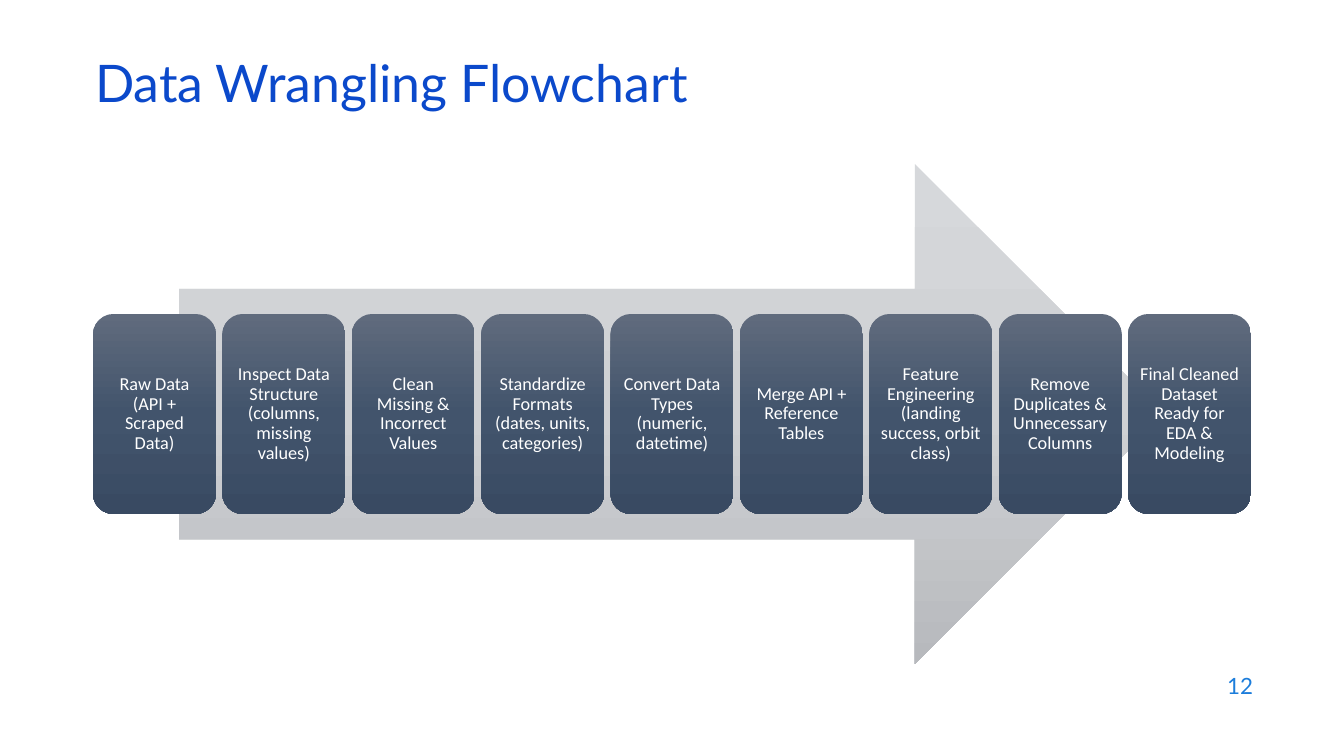
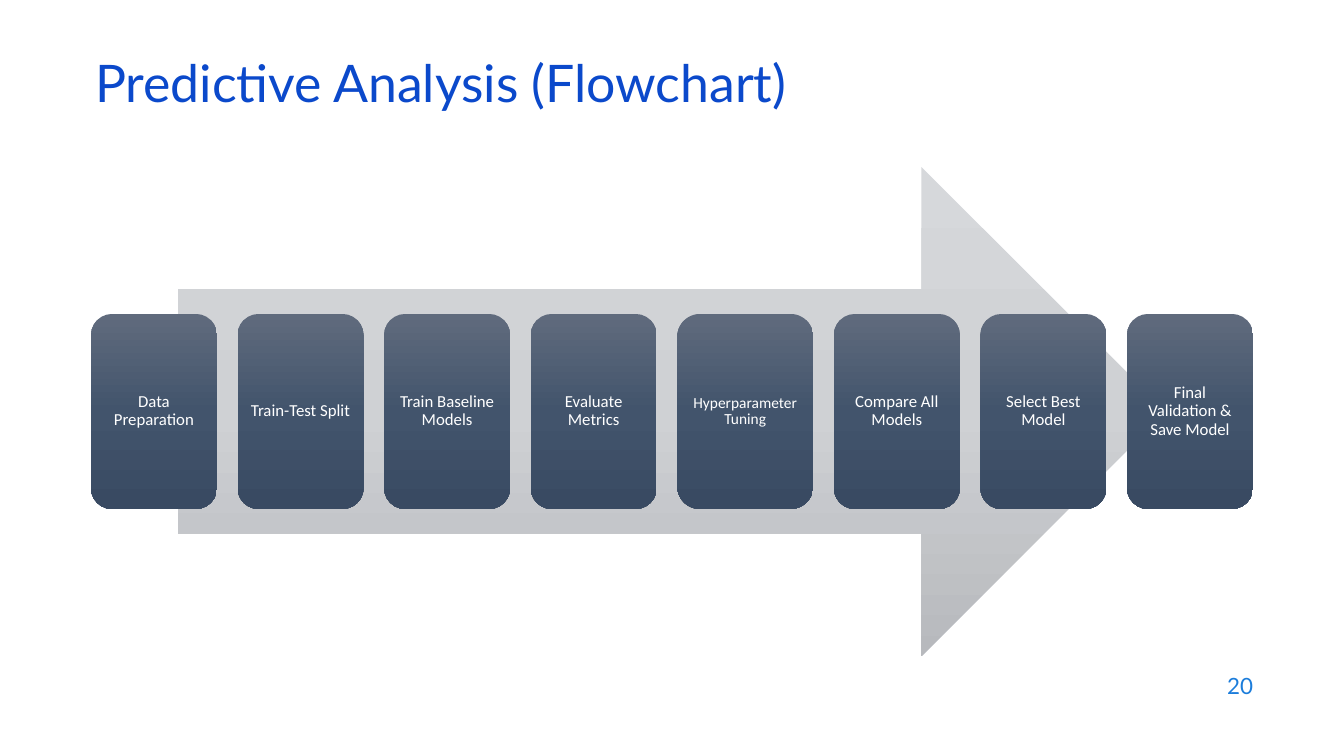
from copy import deepcopy

from pptx import Presentation
from pptx.dml.color import RGBColor
from pptx.enum.shapes import MSO_SHAPE as Shape
from pptx.enum.text import MSO_ANCHOR as Anchor, MSO_AUTO_SIZE as AutoSize, PP_ALIGN as Align
from pptx.oxml.ns import qn
from pptx.util import Pt

SLIDE_WIDTH, SLIDE_HEIGHT = 1344, 756
EMU_PER_PX = 12192000 / SLIDE_WIDTH

TITLE_BLUE = RGBColor(0x0B, 0x49, 0xCB)
NUMBER_BLUE = RGBColor(0x1C, 0x7D, 0xDB)
WHITE = RGBColor(0xFF, 0xFF, 0xFF)
ARROW_GREYS = (RGBColor(0xD6, 0xD8, 0xDB), RGBColor(0xCF, 0xD1, 0xD4), RGBColor(0xB7, 0xB9, 0xBD))
STEP_BLUES = (RGBColor(0x60, 0x6B, 0x7D), RGBColor(0x42, 0x54, 0x6C), RGBColor(0x39, 0x4A, 0x62))

HEADING_FONT = "Lato"
STEP_FONT = "Calibri"
TITLE_BOX = (85, 59, 1159, 60)
NUMBER_BOX = (961, 664, 302, 44)
STEP_INSET = 5

WRANGLING_STEPS = [
    "Raw Data (API + Scraped Data)",
    "Inspect Data Structure (columns, missing values)",
    "Clean Missing & Incorrect Values",
    "Standardize Formats (dates, units, categories)",
    "Convert Data Types (numeric, datetime)",
    "Merge API + Reference Tables",
    "Feature Engineering (landing success, orbit class)",
    "Remove Duplicates & Unnecessary Columns",
    "Final Cleaned Dataset Ready for EDA & Modeling",
]
PREDICTIVE_STEPS = [
    "Data Preparation",
    "Train-Test Split",
    "Train Baseline Models",
    "Evaluate Metrics",
    "Hyperparameter Tuning",
    "Compare All Models",
    "Select Best Model",
    "Final Validation & Save Model",
]


def px(length):
    return round(length * EMU_PER_PX)


def place(shape, box):
    shape.left, shape.top, shape.width, shape.height = map(px, box)


def write(shape, text, font_name, size, color, align, line_spacing=1.0):
    frame = shape.text_frame
    frame.word_wrap = True
    frame.auto_size = AutoSize.NONE
    frame.vertical_anchor = Anchor.MIDDLE
    paragraph = frame.paragraphs[0]
    paragraph.alignment = align
    paragraph.line_spacing = line_spacing
    run = paragraph.add_run()
    run.text = text
    run.font.name = font_name
    run.font.size = Pt(size)
    run.font.color.rgb = color


def add_gradient_shape(slide, kind, box, colors):
    """Add a borderless shape that runs through three colours from top to bottom."""
    shape = slide.shapes.add_shape(kind, *map(px, box))
    shape.shadow.inherit = False
    shape.line.fill.background()
    shape.fill.gradient()
    shape.fill.gradient_angle = 270
    stop_list = shape.fill._xPr.find(".//" + qn("a:gsLst"))
    stop_list.insert(1, deepcopy(stop_list[0]))
    for stop, color, position in zip(shape.fill.gradient_stops, colors, (0, 0.5, 1)):
        stop.color.rgb = color
        stop.position = position
    return shape


def add_step(slide, box, text, size):
    step = add_gradient_shape(slide, Shape.ROUNDED_RECTANGLE, box, STEP_BLUES)
    frame = step.text_frame
    frame.margin_left = frame.margin_right = px(STEP_INSET)
    frame.margin_top = frame.margin_bottom = px(STEP_INSET)
    write(step, text, STEP_FONT, size, WHITE, Align.CENTER, 0.9)


def add_step_row(slide, box, steps, step_width, size, exceptions):
    """Spread the steps over the box with equal gaps.

    exceptions maps a step's text to its own (width, font size).
    """
    left, top, width, height = box
    formats = [exceptions.get(text, (step_width, size)) for text in steps]
    gap = (width - sum(own_width for own_width, _ in formats)) / (len(steps) - 1)
    for text, (own_width, own_size) in zip(steps, formats):
        add_step(slide, (left, top, own_width, height), text, own_size)
        left += own_width + gap


def add_flowchart_slide(presentation, title, number, arrow_box, row_box, steps,
                        step_width, size, exceptions=None):
    slide = presentation.slides.add_slide(presentation.slide_layouts[5])
    place(slide.shapes.title, TITLE_BOX)
    write(slide.shapes.title, title, HEADING_FONT, 37, TITLE_BLUE, Align.LEFT, 0.7)
    number_box = slide.shapes.add_textbox(*map(px, NUMBER_BOX))
    write(number_box, str(number), HEADING_FONT, 16, NUMBER_BLUE, Align.RIGHT)
    add_gradient_shape(slide, Shape.RIGHT_ARROW, arrow_box, ARROW_GREYS)
    add_step_row(slide, row_box, steps, step_width, size, exceptions or {})


def main():
    presentation = Presentation()
    presentation.slide_width = px(SLIDE_WIDTH)
    presentation.slide_height = px(SLIDE_HEIGHT)
    add_flowchart_slide(
        presentation, "Data Wrangling Flowchart", 12,
        arrow_box=(179, 164, 986, 500), row_box=(93, 314, 1158, 200),
        steps=WRANGLING_STEPS, step_width=123, size=13)
    add_flowchart_slide(
        presentation, "Predictive Analysis (Flowchart)", 20,
        arrow_box=(178, 167, 988, 489), row_box=(91, 314, 1162, 195),
        steps=PREDICTIVE_STEPS, step_width=126, size=12,
        exceptions={"Hyperparameter Tuning": (136, 11)})
    presentation.save("out.pptx")


if __name__ == "__main__":
    main()
